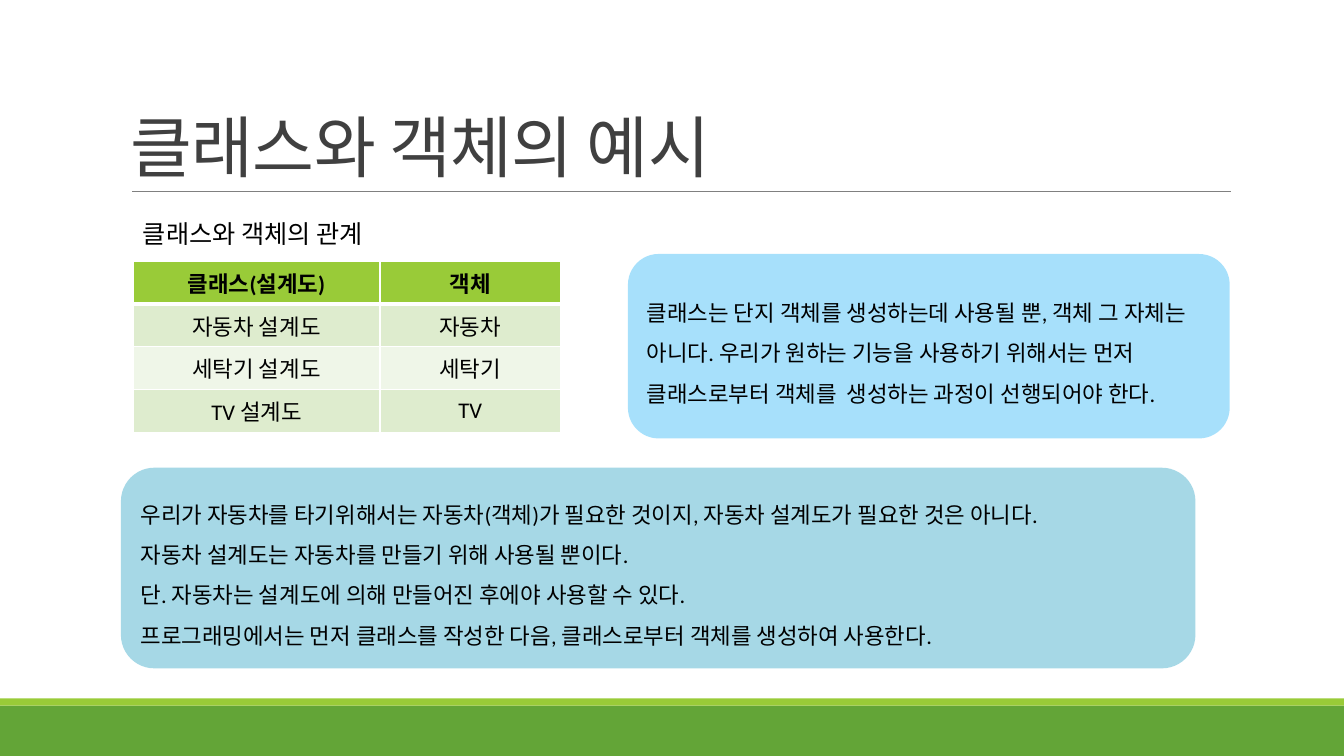
from lxml.etree import SubElement
from pptx import Presentation
from pptx.dml.color import RGBColor
from pptx.enum.shapes import MSO_CONNECTOR as Connector, MSO_SHAPE as Shape
from pptx.enum.text import MSO_ANCHOR as Anchor, PP_ALIGN as Align
from pptx.oxml import parse_xml
from pptx.oxml.ns import nsdecls, qn
from pptx.util import Inches, Pt

WHITE = RGBColor(0xFF, 0xFF, 0xFF)
BLACK = RGBColor(0x00, 0x00, 0x00)
CHARCOAL = RGBColor(0x40, 0x40, 0x40)
GRAY = RGBColor(0x80, 0x80, 0x80)
GREEN = RGBColor(0x63, 0xA5, 0x37)
LIME = RGBColor(0x99, 0xCB, 0x38)
LIME_TINT = RGBColor(0xDE, 0xEC, 0xCE)
LIME_PALE = RGBColor(0xEF, 0xF6, 0xE8)
TEAL = RGBColor(0x4E, 0xB3, 0xCF)
SKY = RGBColor(0x51, 0xC3, 0xF9)

COLUMNS, ROWS = 40, 30

RELATIONS = [
    ("클래스(설계도)", "객체"),
    ("자동차 설계도", "자동차"),
    ("세탁기 설계도", "세탁기"),
    ("TV 설계도", "TV"),
]
CLASS_NOTE = (
    "클래스는 단지 객체를 생성하는데 사용될 뿐, 객체 그 자체는 아니다. "
    "우리가 원하는 기능을 사용하기 위해서는 먼저 "
    "클래스로부터 객체를  생성하는 과정이 선행되어야 한다."
)
CAR_NOTES = [
    "우리가 자동차를 타기위해서는 자동차(객체)가 필요한 것이지, 자동차 설계도가 필요한 것은 아니다.",
    "자동차 설계도는 자동차를 만들기 위해 사용될 뿐이다.",
    "단. 자동차는 설계도에 의해 만들어진 후에야 사용할 수 있다.",
    "프로그래밍에서는 먼저 클래스를 작성한 다음, 클래스로부터 객체를 생성하여 사용한다.",
]


class SlideBuilder:
    """Places elements on a grid of COLUMNS by ROWS."""

    font_name = "Calibri"
    body_size = 16

    def __init__(self, presentation):
        self.slide = presentation.slides.add_slide(presentation.slide_layouts[6])
        self.column = presentation.slide_width / COLUMNS
        self.row = presentation.slide_height / ROWS

    def place(self, left, top, width, height):
        """Turn grid units into slide lengths."""
        return (round(left * self.column), round(top * self.row),
                round(width * self.column), round(height * self.row))

    def set_text(self, text_frame, lines, size=body_size, color=BLACK, bold=False,
                 align=Align.LEFT, spacing=1.0, tracking=0):
        text_frame.text = "\n".join(lines)
        for paragraph in text_frame.paragraphs:
            paragraph.alignment = align
            paragraph.line_spacing = spacing
            for run in paragraph.runs:
                run.font.name = self.font_name
                run.font.size = Pt(size)
                run.font.bold = bold
                run.font.color.rgb = color
                if tracking:
                    run.font._element.set("spc", str(round(tracking * 100)))

    def shape(self, kind, area, color, opacity=100):
        shape = self.slide.shapes.add_shape(kind, *self.place(*area))
        shape.shadow.inherit = False
        shape.fill.solid()
        shape.fill.fore_color.rgb = color
        shape.line.fill.background()
        if opacity < 100:
            color_node = shape._element.spPr.find(qn("a:solidFill"))[0]
            SubElement(color_node, qn("a:alpha")).set("val", str(opacity * 1000))
        return shape

    def band(self, top, height, color):
        self.shape(Shape.RECTANGLE, (0, top, COLUMNS, height), color)

    def rule(self, left, top, width):
        x, y, length, _ = self.place(left, top, width, 0)
        line = self.slide.shapes.add_connector(Connector.STRAIGHT, x, y, x + length, y)
        line.line.color.rgb = GRAY
        line.line.width = Pt(0.5)
        SubElement(line._element.spPr, qn("a:effectLst"))

    def text_box(self, area, text, anchor=Anchor.TOP, **style):
        text_frame = self.slide.shapes.add_textbox(*self.place(*area)).text_frame
        text_frame.word_wrap = True
        text_frame.vertical_anchor = anchor
        self.set_text(text_frame, [text], **style)

    def note(self, area, lines, color):
        text_frame = self.shape(Shape.ROUNDED_RECTANGLE, area, color, 50).text_frame
        text_frame.word_wrap = True
        text_frame.vertical_anchor = Anchor.MIDDLE
        self.set_text(text_frame, lines, spacing=1.5)

    def border(self, cell, **widths):
        properties = cell._tc.get_or_add_tcPr()
        for index, side in enumerate("LRTB"):
            properties.insert(index, parse_xml(
                f'<a:ln{side} {nsdecls("a")} w="{Pt(widths.get(side, 1))}">'
                f'<a:solidFill><a:srgbClr val="{WHITE}"/></a:solidFill></a:ln{side}>'))

    def table(self, left, top, column_widths, height, rows):
        area = self.place(left, top, sum(column_widths), height)
        table = self.slide.shapes.add_table(len(rows), len(column_widths), *area).table
        for column, width in zip(table.columns, column_widths):
            column.width = round(width * self.column)
        for i, values in enumerate(rows):
            header = i == 0
            fill = LIME if header else LIME_TINT if i % 2 else LIME_PALE
            for j, value in enumerate(values):
                cell = table.cell(i, j)
                cell.fill.solid()
                cell.fill.fore_color.rgb = fill
                cell.vertical_anchor = Anchor.MIDDLE
                self.set_text(cell.text_frame, [value], bold=header, align=Align.CENTER)
                self.border(cell, T=3 if i == 1 else 1, B=3 if header else 1)


def main():
    presentation = Presentation()
    presentation.slide_width = Inches(40 / 3)
    presentation.slide_height = Inches(7.5)
    builder = SlideBuilder(presentation)

    builder.band(28, 2, GREEN)
    builder.band(27.72, 0.28, LIME)
    builder.rule(3.93, 7.6, 32.7)
    builder.text_box((3.6, 1.24, 33, 6.36), "클래스와 객체의 예시", Anchor.BOTTOM,
                     size=48, color=CHARCOAL, spacing=0.85, tracking=-0.5)
    builder.table(3.96, 10.36, (7.35, 5.37), 6.8, RELATIONS)
    builder.text_box((3.96, 8.48, 7.77, 1.6), "클래스와 객체의 관계", size=18)
    builder.note((3.6, 18.56, 31.98, 7.96), CAR_NOTES, TEAL)
    builder.note((18.69, 10.08, 17.91, 7.32), [CLASS_NOTE], SKY)

    presentation.save("out.pptx")


if __name__ == "__main__":
    main()
